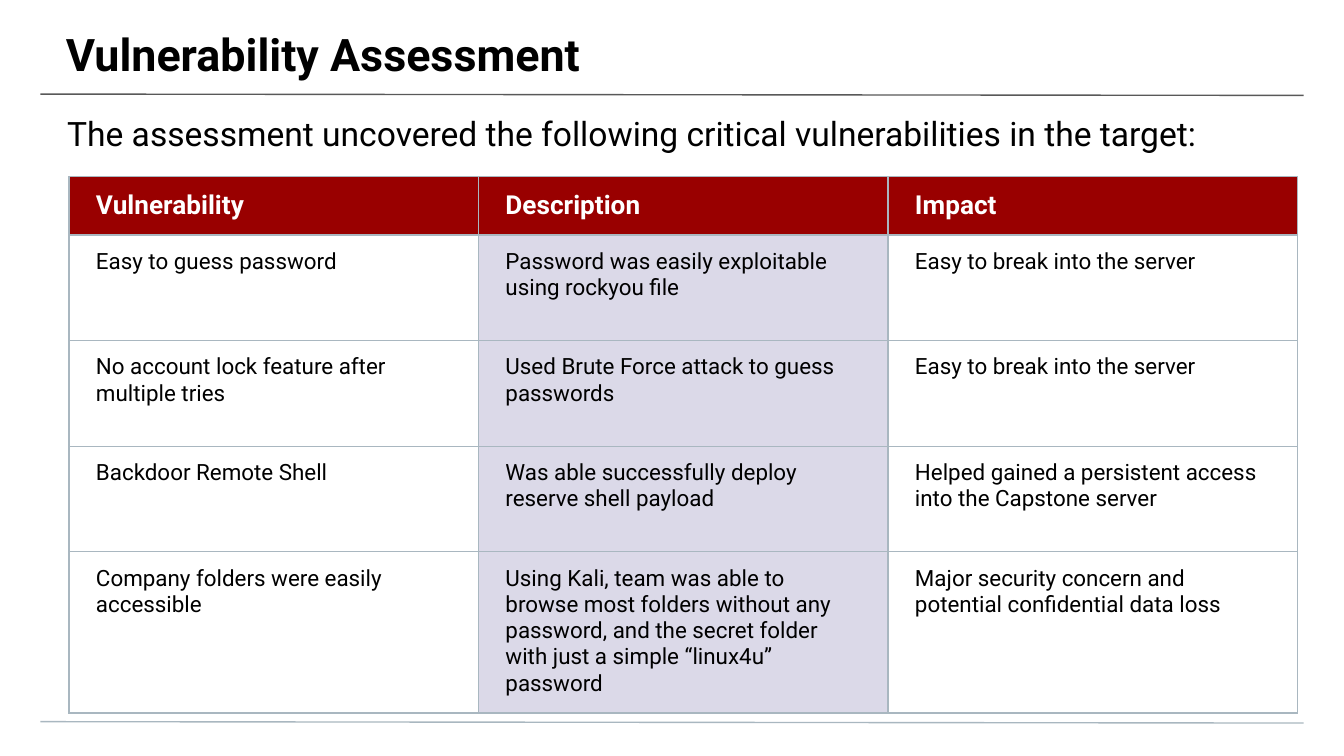
from dataclasses import dataclass

from lxml.etree import SubElement
from pptx import Presentation
from pptx.dml.color import RGBColor
from pptx.enum.shapes import MSO_CONNECTOR as Connector
from pptx.enum.text import MSO_ANCHOR as Anchor
from pptx.oxml.ns import qn
from pptx.util import Inches, Pt


@dataclass(frozen=True)
class Theme:
    font: str = "Roboto"
    ink: str = "000000"
    white: str = "FFFFFF"
    header: str = "990000"
    shade: str = "DBD9E8"
    rule: str = "595959"
    border: str = "A9B7C0"
    title_size: int = 24
    lead_size: int = 18
    header_size: int = 14
    body_size: int = 12
    line_width: float = 0.75


@dataclass(frozen=True)
class TextBlock:
    text: str
    box: tuple  # left, top, width, height in grid units
    insets: tuple  # left, top, right, bottom in grid units
    size: int
    bold: bool = False


@dataclass(frozen=True)
class Rule:
    row: float
    color: str


THEME = Theme()
COLS, ROWS = 100, 56.25  # 16:9 slide grid, ten units to the inch
SIDES = ("left", "top", "right", "bottom")

BLOCKS = [
    TextBlock("Vulnerability Assessment", (-0.1, 0, COLS + 0.3, 5.8), (5, 2, 3, 1),
              THEME.title_size, True),
    TextBlock("The assessment uncovered the following critical vulnerabilities in the target:",
              (0, 7.4, COLS, 4), (5, 1, 5, 0), THEME.lead_size),
]
RULES = [Rule(7, THEME.rule), Rule(53.7, THEME.border)]

TABLE_LEFT, TABLE_TOP, TABLE_HEIGHT = 5.14, 13.14, 39.9
COL_WIDTH = 30.47
ROW_HEIGHTS = [4.1, 7.86, 7.86, 7.86, 11.2]
SHADED_COL = 1
FINDINGS = [
    ("Vulnerability", "Description", "Impact"),
    ("Easy to guess password",
     "Password was easily exploitable using rockyou file",
     "Easy to break into the server"),
    ("No account lock feature after multiple tries",
     "Used Brute Force attack to guess passwords",
     "Easy to break into the server"),
    ("Backdoor Remote Shell",
     "Was able successfully deploy reserve shell payload",
     "Helped gained a persistent access into the Capstone server"),
    ("Company folders were easily accessible",
     "Using Kali, team was able to browse most folders without any password, "
     "and the secret folder with just a simple “linux4u” password",
     "Major security concern and potential confidential data loss"),
]


def grid(units: float) -> int:
    return Inches(units / 10)


def set_insets(target, insets: tuple) -> None:
    for side, inset in zip(SIDES, insets):
        setattr(target, f"margin_{side}", grid(inset))


def write(tf, text: str, size: int, color: str, bold: bool) -> None:
    r = tf.paragraphs[0].add_run()
    r.text = text
    for name, value in {"name": THEME.font, "size": Pt(size), "bold": bold}.items():
        setattr(r.font, name, value)
    r.font.color.rgb = RGBColor.from_string(color)


def draw_block(s, block: TextBlock) -> None:
    tf = s.shapes.add_textbox(*map(grid, block.box)).text_frame
    tf.word_wrap = True
    tf.vertical_anchor = Anchor.TOP
    set_insets(tf, block.insets)
    write(tf, block.text, block.size, THEME.ink, block.bold)


def draw_rule(s, rule: Rule) -> None:
    line = s.shapes.add_connector(Connector.STRAIGHT, grid(3), grid(rule.row),
                                  grid(COLS - 3), grid(rule.row + 0.1))
    line.line.color.rgb = RGBColor.from_string(rule.color)
    line.line.width = Pt(THEME.line_width)
    SubElement(line._element.spPr, qn("a:effectLst"))


def add_borders(cell) -> None:
    tc_pr = cell._tc.get_or_add_tcPr()
    for edge in "LRTB":
        ln = SubElement(tc_pr, qn(f"a:ln{edge}"), w=str(Pt(THEME.line_width)))
        SubElement(SubElement(ln, qn("a:solidFill")), qn("a:srgbClr"), val=THEME.border)


def draw_cell(cell, text: str, is_header: bool, is_shaded: bool) -> None:
    set_insets(cell, (2, 1, 2, 1))
    cell.vertical_anchor = Anchor.MIDDLE if is_header else Anchor.TOP
    add_borders(cell)
    if is_header or is_shaded:
        cell.fill.solid()
        cell.fill.fore_color.rgb = RGBColor.from_string(
            THEME.header if is_header else THEME.shade)
    else:
        cell.fill.background()
    size = THEME.header_size if is_header else THEME.body_size
    write(cell.text_frame, text, size, THEME.white if is_header else THEME.ink, is_header)


def draw_table(s) -> None:
    n_cols = len(FINDINGS[0])
    frame = s.shapes.add_table(len(FINDINGS), n_cols, grid(TABLE_LEFT), grid(TABLE_TOP),
                               grid(COL_WIDTH * n_cols), grid(TABLE_HEIGHT))
    table = frame.table
    table.horz_banding = False
    for col in table.columns:
        col.width = grid(COL_WIDTH)
    for i, (height, texts) in enumerate(zip(ROW_HEIGHTS, FINDINGS)):
        table.rows[i].height = grid(height)
        for j, text in enumerate(texts):
            draw_cell(table.cell(i, j), text, i == 0, j == SHADED_COL)
    # Row heights reset the frame, which leaves room for rows that grow
    frame.height = grid(TABLE_HEIGHT)


def main() -> None:
    prs = Presentation()
    prs.slide_width, prs.slide_height = grid(COLS), grid(ROWS)
    s = prs.slides.add_slide(prs.slide_layouts[6])

    # Rules under the title and at the foot
    for rule in RULES:
        draw_rule(s, rule)

    # Title and lead sentence
    for block in BLOCKS:
        draw_block(s, block)

    # Findings
    draw_table(s)
    prs.save("out.pptx")


if __name__ == "__main__":
    main()
